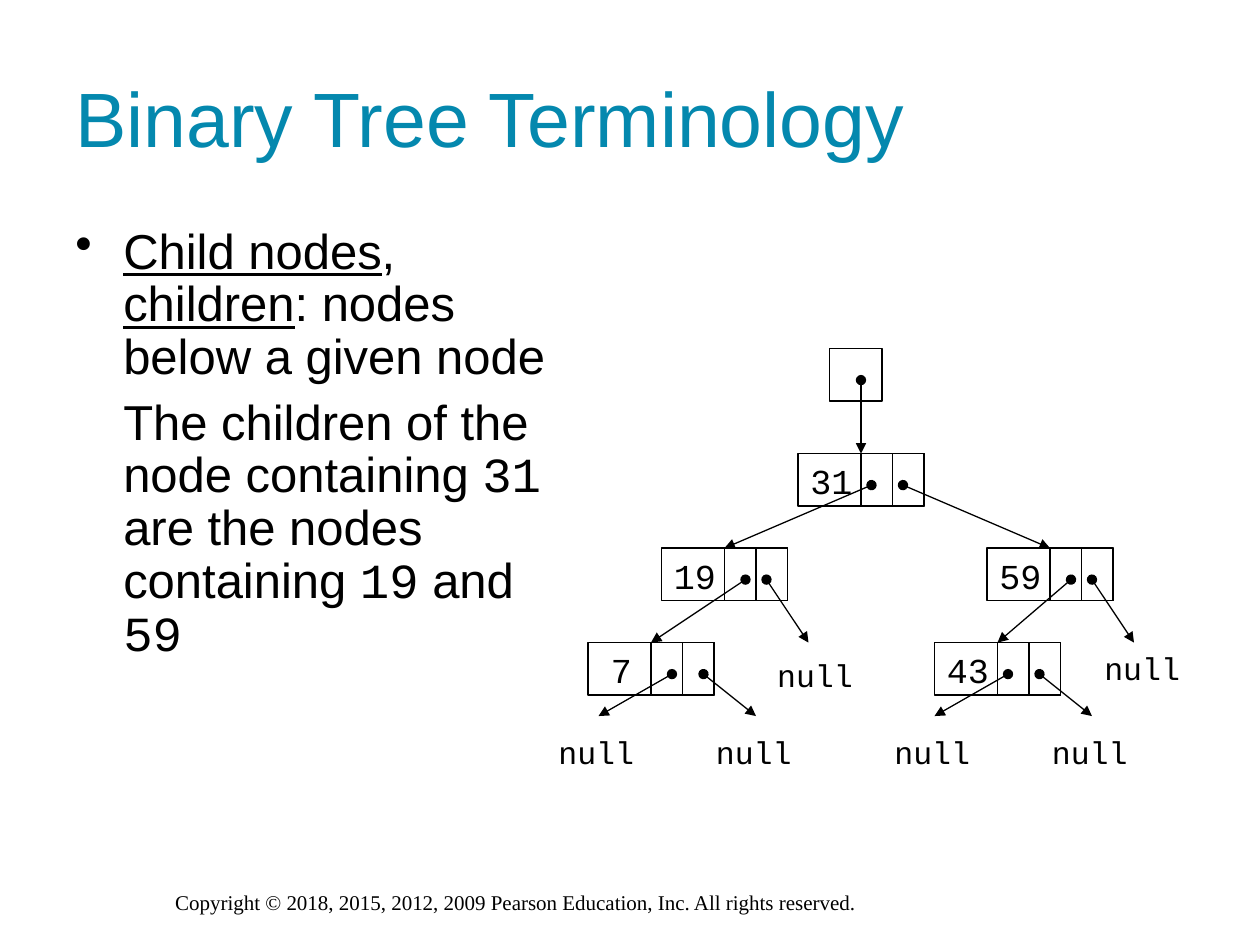
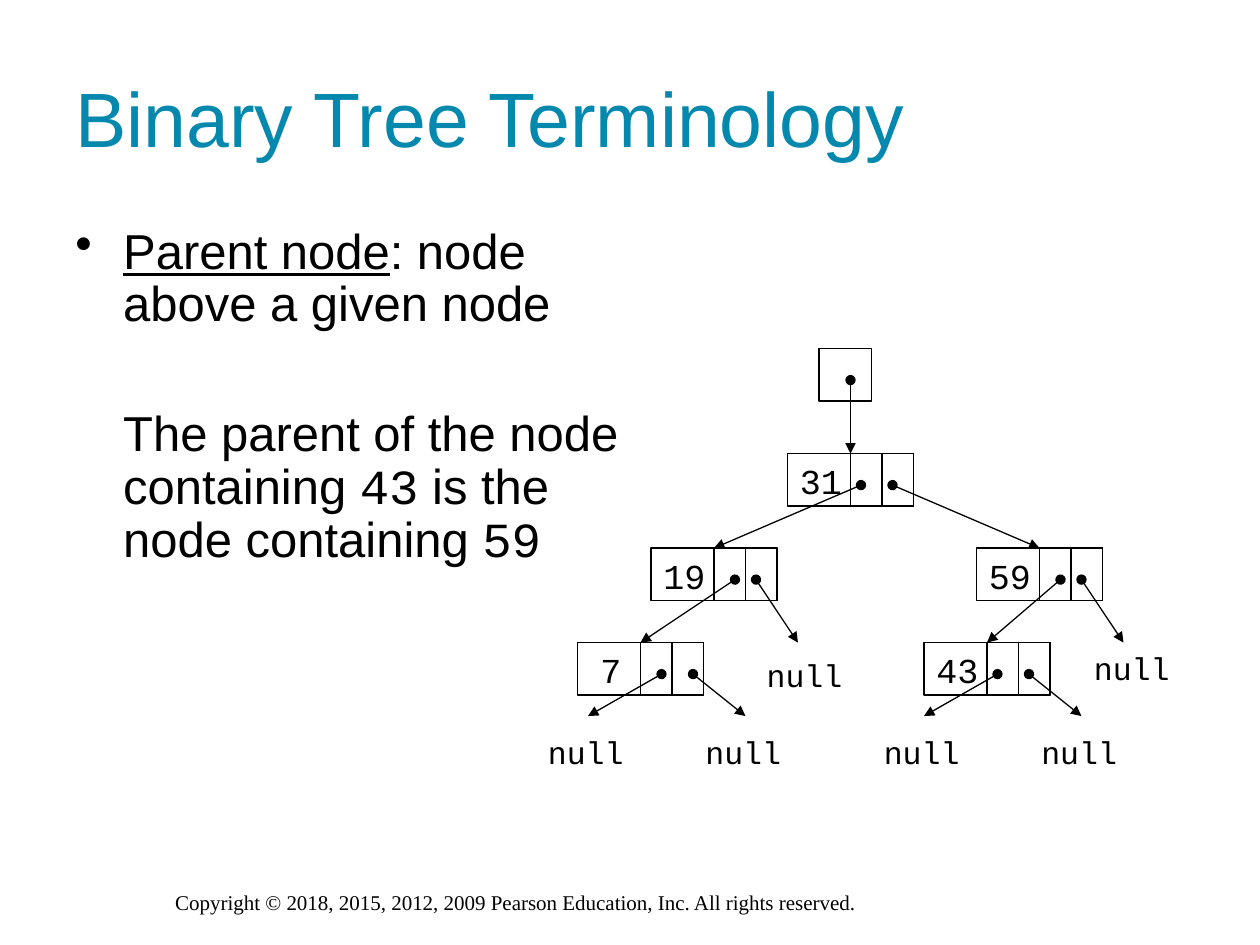
from collections import namedtuple

from pptx import Presentation
from pptx.dml.color import RGBColor
from pptx.enum.shapes import MSO_CONNECTOR as Connector, MSO_SHAPE as Shape
from pptx.enum.text import MSO_ANCHOR as Anchor, MSO_AUTO_SIZE as AutoSize
from pptx.oxml.ns import qn
from pptx.util import Inches, Pt

BLACK = RGBColor(0, 0, 0)
TEAL = RGBColor(0x04, 0x88, 0xAE)

GRID = Inches(1) // 12  # the slide is 120 columns by 90 rows
NODE_WIDTH, CELL_WIDTH, NODE_HEIGHT = 12, 3, 5
ROOT_ROW = 43.2
INDENT = Inches(0.38)

TITLE = {"name": "Arial", "size": Pt(44), "color": TEAL}
BODY = {"name": "Arial", "size": Pt(28), "color": BLACK}
TERM = {**BODY, "underline": True}
BODY_CODE = {**BODY, "name": "Courier New"}
VALUE = {**BODY_CODE, "size": Pt(20)}
NULL = {**BODY_CODE, "size": Pt(18)}
FOOTER = {"name": "Times New Roman", "size": Pt(12), "color": BLACK}

# A link's dot and tip, and a null's place, count from the node's top left.
Node = namedtuple("Node", "value column row links nulls value_shift", defaults=((), 0))
NODES = [
    Node("31", 0, 0, [((7, 3), (-7, 9)), ((10, 3), (24, 9))]),
    Node("19", -13, 9, [((8, 3), (-1, 9)), ((10, 3), (14, 9))], [(9.84, 9.72)]),
    Node("59", 18, 9, [((8, 3), (1, 9)), ((10, 3), (14, 9))], [(10, 9)]),
    Node("7", -20, 18, [((8, 3), (1, 7)), ((11, 3), (16, 7))], [(-4, 8), (11, 8)], 1),
    Node("43", 13, 18, [((7, 3), (0, 7)), ((10, 3), (15, 7))], [(-5, 8), (10, 8)]),
]

Paragraph = namedtuple("Paragraph", "runs bullet space_before", defaults=(False, 0))
Lesson = namedtuple("Lesson", "body_width root_column paragraphs")
LESSONS = [
    Lesson(50, 76, [
        Paragraph([("Child nodes", TERM), (", ", BODY), ("children", TERM),
                   (": nodes below a given node", BODY)], True),
        Paragraph([("The children of the node containing ", BODY), ("31", BODY_CODE),
                   (" are the nodes containing ", BODY), ("19", BODY_CODE),
                   (" and ", BODY), ("59", BODY_CODE)], space_before=7),
    ]),
    Lesson(54.5, 75, [
        Paragraph([("Parent node", TERM), (": node above a given node", BODY)], True),
        Paragraph([("The parent of the node containing ", BODY), ("43", BODY_CODE),
                   (" is the node containing ", BODY), ("59", BODY_CODE)],
                  space_before=44),
    ]),
]


def grid(*units):
    return [round(unit * GRID) for unit in units]


def add_run(paragraph, text, style):
    run = paragraph.add_run()
    run.text = text
    for name, value in style.items():
        if name == "color":
            run.font.color.rgb = value
        else:
            setattr(run.font, name, value)


def add_text_box(shapes, column, row, width, height, **frame_format):
    frame = shapes.add_textbox(*grid(column, row, width, height)).text_frame
    for name, value in {"word_wrap": True, **frame_format}.items():
        setattr(frame, name, value)
    return frame


def add_line_of_text(shapes, place, text, style, **frame_format):
    frame = add_text_box(shapes, *place, **frame_format)
    add_run(frame.paragraphs[0], text, style)


def add_label(shapes, column, row, text, style):
    """Add a monospaced label in a box that just fits it."""
    width = 2.4 + len(text) * 0.1 * style["size"].pt
    height = 1.2 + style["size"].pt * 0.2
    add_line_of_text(shapes, (column, row, width, height), text, style,
                     word_wrap=False, auto_size=AutoSize.SHAPE_TO_FIT_TEXT)


def add_body(slide, lesson):
    frame = add_text_box(slide.shapes, 6, 21, lesson.body_width, 54)
    for index, content in enumerate(lesson.paragraphs):
        paragraph = frame.add_paragraph() if index else frame.paragraphs[0]
        properties = paragraph._p.get_or_add_pPr()
        properties.set("marL", str(INDENT))
        if content.bullet:
            properties.set("indent", str(-INDENT))
            bullet = properties.makeelement(qn("a:buChar"), {"char": "•"})
            properties.append(bullet)
        paragraph.line_spacing = 0.9
        paragraph.space_before = Pt(content.space_before)
        for text, style in content.runs:
            add_run(paragraph, text, style)


def add_box(shapes, column, row, width):
    box = shapes.add_shape(Shape.RECTANGLE, *grid(column, row, width, NODE_HEIGHT))
    box.shadow.inherit = False
    box.fill.background()
    box.line.color.rgb = BLACK
    box.line.width = Pt(0.75)


def add_link(shapes, dot, tip):
    link = shapes.add_connector(Connector.STRAIGHT, *grid(*dot, *tip))
    link.line.color.rgb = BLACK
    link.line.width = Pt(0.75)
    outline = link.line._get_or_add_ln()
    for end, kind in (("a:headEnd", "oval"), ("a:tailEnd", "triangle")):
        outline.append(outline.makeelement(qn(end), {"type": kind}))
    properties = link._element.spPr
    properties.append(properties.makeelement(qn("a:effectLst"), {}))


def add_node(shapes, node, root_column):
    left, top = root_column + node.column, ROOT_ROW + node.row

    def from_node(point):
        return left + point[0], top + point[1]

    add_box(shapes, left, top, NODE_WIDTH)
    for cell in (1, 2):
        add_box(shapes, left + NODE_WIDTH - cell * CELL_WIDTH, top, CELL_WIDTH)
    add_label(shapes, left + node.value_shift, top, node.value, VALUE)
    for dot, tip in node.links:
        add_link(shapes, from_node(dot), from_node(tip))
    for place in node.nulls:
        add_label(shapes, *from_node(place), "null", NULL)


def add_tree(slide, root_column):
    shapes = slide.shapes.add_group_shape().shapes
    add_box(shapes, root_column + 3, ROOT_ROW - 10, NODE_HEIGHT)
    add_link(shapes, (root_column + 6, ROOT_ROW - 7), (root_column + 6, ROOT_ROW))
    for node in NODES:
        add_node(shapes, node, root_column)


def add_lesson(presentation, lesson):
    slide = presentation.slides.add_slide(presentation.slide_layouts[6])
    add_line_of_text(
        slide.shapes, (15.5, 84.1, 89, 3.6),
        "Copyright © 2018, 2015, 2012, 2009 Pearson Education, Inc. All rights reserved.",
        FOOTER)
    add_line_of_text(slide.shapes, (6, 3.6, 108, 15), "Binary Tree Terminology",
                     TITLE, vertical_anchor=Anchor.MIDDLE)
    add_body(slide, lesson)
    add_tree(slide, lesson.root_column)


def main():
    presentation = Presentation()
    presentation.slide_width, presentation.slide_height = grid(120, 90)
    for lesson in LESSONS:
        add_lesson(presentation, lesson)
    presentation.save("out.pptx")


if __name__ == "__main__":
    main()
